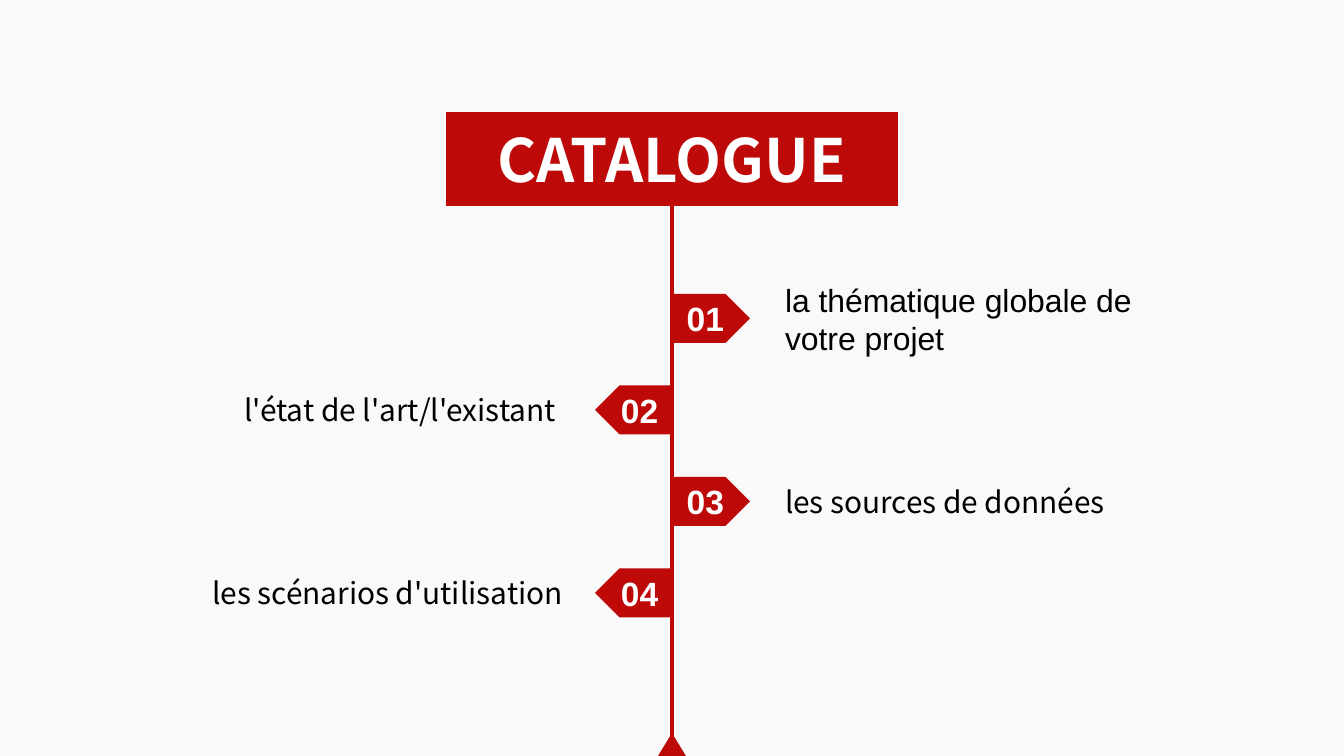
from dataclasses import dataclass

from pptx import Presentation
from pptx import util as u
from pptx.dml.color import RGBColor
from pptx.enum import shapes, text
from pptx.oxml import parse_xml
from pptx.oxml.ns import nsdecls


@dataclass(frozen=True)
class Theme:
    background: RGBColor = RGBColor(0xF9, 0xF9, 0xF9)
    accent: RGBColor = RGBColor(0xBE, 0x09, 0x09)
    white: RGBColor = RGBColor(0xFF, 0xFF, 0xFF)
    black: RGBColor = RGBColor(0, 0, 0)
    sans: str = "Noto Sans CJK SC"
    arial: str = "Arial"
    title_size: float = 32
    tag_size: float = 18
    label_size: float = 16
    long_label_size: float = 17.1


@dataclass(frozen=True)
class Entry:
    label: str
    font: str
    size: float
    height: int = 36


THEME = Theme()
WIDTH, HEIGHT = 1344, 756
CENTER = WIDTH // 2
TITLE_WIDTH, TITLE_TOP, TITLE_HEIGHT = 452, 112, 94
TAG_WIDTH, TAG_HEIGHT = 77, 49
FIRST_TAG_TOP, TAG_STEP = 294, 91.5
RIGHT_LABEL_LEFT, RIGHT_LABEL_WIDTH = 785, 384
LEFT_LABEL_LEFT, LEFT_LABEL_WIDTH = 185, 378
ARROW_WIDTH, ARROW_HEIGHT = 28, 23

ENTRIES = [
    Entry("la thématique globale de votre projet", THEME.arial, THEME.long_label_size, 77),
    Entry("l'état de l'art/l'existant ", THEME.sans, THEME.label_size),
    Entry("les sources de données", THEME.sans, THEME.label_size),
    Entry("les scénarios d'utilisation", THEME.sans, THEME.label_size),
]


def px(length: float) -> u.Emu:
    return u.Emu(round(length * 914400 / 134.4))


def write(shape, content: str, font: str, size: float, color: RGBColor,
          align=text.PP_ALIGN.CENTER, bold: bool = False) -> None:
    frame = shape.text_frame
    frame.text = content
    frame.word_wrap = True
    frame.auto_size = text.MSO_AUTO_SIZE.NONE
    frame.vertical_anchor = text.MSO_ANCHOR.MIDDLE
    frame.margin_left = frame.margin_right = frame.margin_top = frame.margin_bottom = 0
    paragraph = frame.paragraphs[0]
    paragraph.alignment = align
    for run in paragraph.runs:
        run.font.name = font
        run.font.size = u.Pt(size)
        run.font.bold = bold
        run.font.color.rgb = color


def add_solid(slide, kind, left: float, top: float, width: int, height: int):
    shape = slide.shapes.add_shape(kind, px(left), px(top), px(width), px(height))
    shape.shadow.inherit = False
    shape.fill.solid()
    shape.fill.fore_color.rgb = THEME.accent
    shape.line.fill.background()
    return shape


def add_title(slide):
    title = slide.shapes.title
    title.left, title.top = px(CENTER - TITLE_WIDTH / 2), px(TITLE_TOP)
    title.width, title.height = px(TITLE_WIDTH), px(TITLE_HEIGHT)
    title.fill.solid()
    title.fill.fore_color.rgb = THEME.accent
    write(title, "CATALOGUE", THEME.sans, THEME.title_size, THEME.white, bold=True)
    return title


def add_trunk(slide, title) -> None:
    trunk = slide.shapes.add_connector(
        shapes.MSO_CONNECTOR.STRAIGHT,
        px(CENTER), px(TITLE_TOP + TITLE_HEIGHT), px(CENTER), px(HEIGHT))
    trunk.begin_connect(title, 2)
    trunk.line.color.rgb = THEME.accent
    trunk.line.width = u.Pt(2)
    trunk._element.spPr.append(parse_xml(f"<a:effectLst {nsdecls('a')}/>"))
    add_solid(slide, shapes.MSO_SHAPE.ISOSCELES_TRIANGLE,
              CENTER - ARROW_WIDTH / 2, HEIGHT - ARROW_HEIGHT, ARROW_WIDTH, ARROW_HEIGHT)


def add_entry(slide, index: int, entry: Entry) -> None:
    on_right = index % 2 == 0
    top = FIRST_TAG_TOP + index * TAG_STEP

    # Numbered tag pointing away from the trunk
    tag_left = CENTER + 1 if on_right else CENTER - TAG_WIDTH
    tag = add_solid(slide, shapes.MSO_SHAPE.PENTAGON, tag_left, top, TAG_WIDTH, TAG_HEIGHT)
    if not on_right:
        tag._element.spPr.xfrm.set("flipH", "1")
    write(tag, f"{index + 1:02d}", THEME.arial, THEME.tag_size, THEME.white, bold=True)

    # Label centred on the tag
    left, width, align = (
        (RIGHT_LABEL_LEFT, RIGHT_LABEL_WIDTH, text.PP_ALIGN.LEFT) if on_right
        else (LEFT_LABEL_LEFT, LEFT_LABEL_WIDTH, text.PP_ALIGN.RIGHT))
    label_top = top + (TAG_HEIGHT - entry.height) / 2
    label = slide.shapes.add_textbox(px(left), px(label_top), px(width), px(entry.height))
    write(label, entry.label, entry.font, entry.size, THEME.black, align)


def main() -> None:
    presentation = Presentation()
    presentation.slide_width, presentation.slide_height = px(WIDTH), px(HEIGHT)
    slide = presentation.slides.add_slide(presentation.slide_layouts[5])
    slide.background.fill.solid()
    slide.background.fill.fore_color.rgb = THEME.background

    # Title and the line running down from it
    add_trunk(slide, add_title(slide))

    # Entries alternate right and left
    for index, entry in enumerate(ENTRIES):
        add_entry(slide, index, entry)

    presentation.save("out.pptx")


if __name__ == "__main__":
    main()
